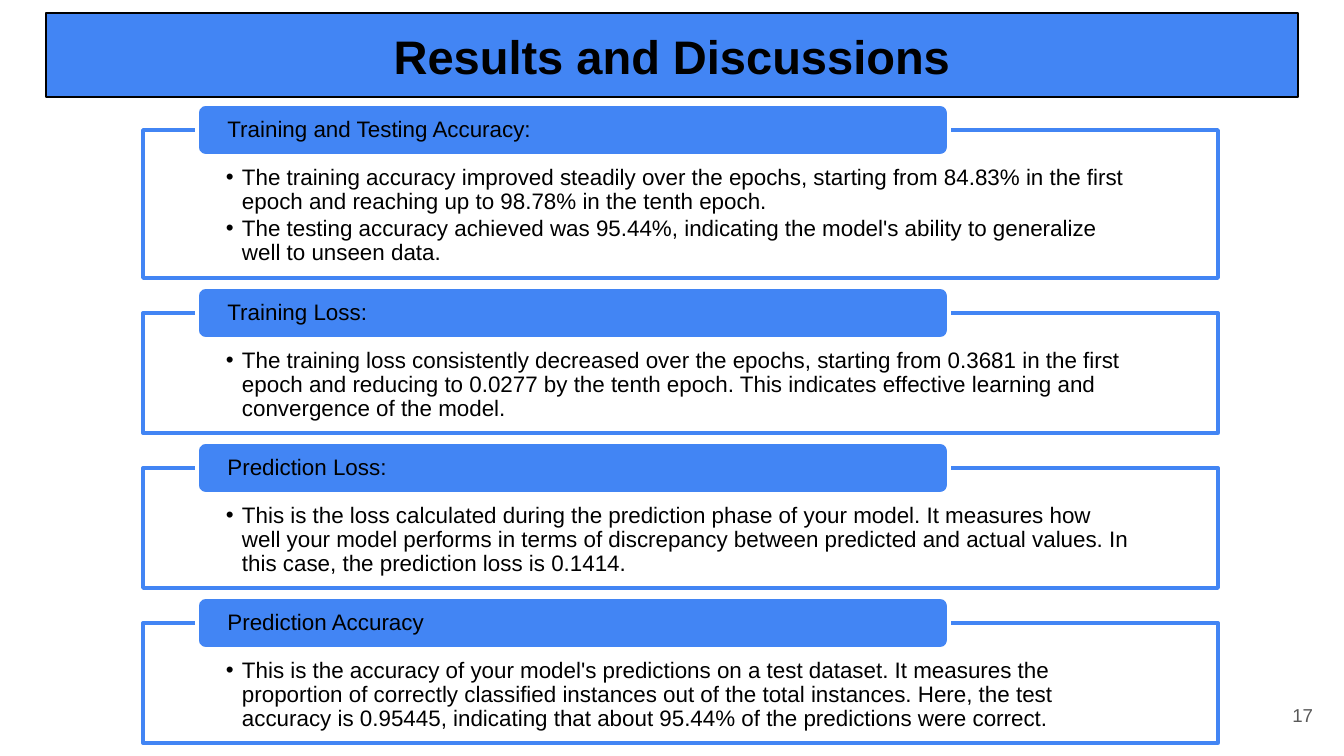
from lxml.etree import SubElement
from pptx import Presentation
from pptx.dml.color import RGBColor
from pptx.enum.shapes import MSO_SHAPE as Shape
from pptx.enum.text import MSO_ANCHOR as Anchor, MSO_AUTO_SIZE as AutoSize, PP_ALIGN as Align
from pptx.oxml.ns import qn
from pptx.util import Emu, Pt

TITLE = "Results and Discussions"
PAGE = "17"
SECTIONS = [
    ("Training and Testing Accuracy:", 148, [
        "The training accuracy improved steadily over the epochs, starting from 84.83% in the first "
        "epoch and reaching up to 98.78% in the tenth epoch.",
        "The testing accuracy achieved was 95.44%, indicating the model's ability to generalize "
        "well to unseen data.",
    ]),
    ("Training Loss:", 120, [
        "The training loss consistently decreased over the epochs, starting from 0.3681 in the first "
        "epoch and reducing to 0.0277 by the tenth epoch. This indicates effective learning and "
        "convergence of the model.",
    ]),
    ("Prediction Loss:", 120, [
        "This is the loss calculated during the prediction phase of your model. It measures how "
        "well your model performs in terms of discrepancy between predicted and actual values. In "
        "this case, the prediction loss is 0.1414.",
    ]),
    ("Prediction Accuracy", 120, [
        "This is the accuracy of your model's predictions on a test dataset. It measures the "
        "proportion of correctly classified instances out of the total instances. Here, the test "
        "accuracy is 0.95445, indicating that about 95.44% of the predictions were correct.",
    ]),
]
BLUE, BLACK, WHITE, GREY = "4285F4", "000000", "FFFFFF", "595959"
FIRST_TOP, SECTION_GAP = 130, 35
BOX_LEFT, BOX_WIDTH = 143, 1075
TAB_LEFT, TAB_WIDTH, TAB_HEIGHT = 197, 752, 52
BULLET_INDENT = 16


def px(length):
    return Emu(round(length * 914400 / 134.4))


def color(code):
    return RGBColor.from_string(code)


def paint(shape, fill, line, weight):
    shape.fill.solid()
    shape.fill.fore_color.rgb = color(fill)
    shape.line.color.rgb = color(line)
    shape.line.width = Pt(weight)
    shape.shadow.inherit = False


def set_frame(shape, anchor, left, top, right, bottom):
    frame = shape.text_frame
    frame.word_wrap = True
    frame.auto_size = AutoSize.NONE
    frame.vertical_anchor = anchor
    frame.margin_left, frame.margin_top = px(left), px(top)
    frame.margin_right, frame.margin_bottom = px(right), px(bottom)
    return frame


def write(paragraph, words, size, ink=BLACK, align=Align.LEFT, bold=False):
    paragraph.alignment = align
    run = paragraph.add_run()
    run.text = words
    run.font.name = "Arial"
    run.font.size = Pt(size)
    run.font.bold = bold
    run.font.color.rgb = color(ink)


def add_bullet(paragraph):
    paragraph.level = 1
    properties = paragraph._p.get_or_add_pPr()
    properties.set("marL", str(px(BULLET_INDENT)))
    properties.set("indent", str(-px(BULLET_INDENT)))
    tint = SubElement(properties, qn("a:buClr"))
    SubElement(tint, qn("a:srgbClr"), val=BLACK)
    SubElement(properties, qn("a:buFont"), typeface="Arial")
    SubElement(properties, qn("a:buChar"), char="•")


def add_section(shapes, top, heading, height, points):
    box = shapes.add_shape(Shape.RECTANGLE, px(BOX_LEFT), px(top), px(BOX_WIDTH), px(height))
    paint(box, WHITE, BLUE, 2)
    fill_color = box._element.spPr.find(qn("a:solidFill"))[0]
    SubElement(fill_color, qn("a:alpha"), val="90000")
    body = set_frame(box, Anchor.TOP, 83, 36, 83, 12)
    for index, point in enumerate(points):
        paragraph = body.add_paragraph() if index else body.paragraphs[0]
        add_bullet(paragraph)
        paragraph.line_spacing = 0.9
        paragraph.space_after = Pt(1.5)
        write(paragraph, point, 12)

    tab = shapes.add_shape(Shape.ROUNDED_RECTANGLE, px(TAB_LEFT), px(top - TAB_HEIGHT / 2),
                           px(TAB_WIDTH), px(TAB_HEIGHT))
    paint(tab, BLUE, WHITE, 2)
    label = set_frame(tab, Anchor.MIDDLE, 28, 0, 28, 0).paragraphs[0]
    label.line_spacing = 0.9
    write(label, heading, 12)


def main():
    """Build the results slide and save it."""
    deck = Presentation()
    deck.slide_width, deck.slide_height = px(1344), px(756)
    slide = deck.slides.add_slide(deck.slide_layouts[5])

    title = slide.shapes.title
    title.left, title.top, title.width, title.height = px(46), px(13), px(1252), px(84)
    paint(title, BLUE, BLACK, 1)
    title_frame = set_frame(title, Anchor.BOTTOM, 13, 13, 13, 13)
    write(title_frame.paragraphs[0], TITLE, 25.2, align=Align.CENTER, bold=True)

    top = FIRST_TOP
    for heading, height, points in SECTIONS:
        add_section(slide.shapes, top, heading, height, points)
        top += height + SECTION_GAP

    page = slide.shapes.add_textbox(px(1245), px(686), px(81), px(58))
    page_frame = set_frame(page, Anchor.MIDDLE, 13, 13, 13, 13)
    write(page_frame.paragraphs[0], PAGE, 10, GREY, Align.RIGHT)

    deck.save("out.pptx")


if __name__ == "__main__":
    main()
